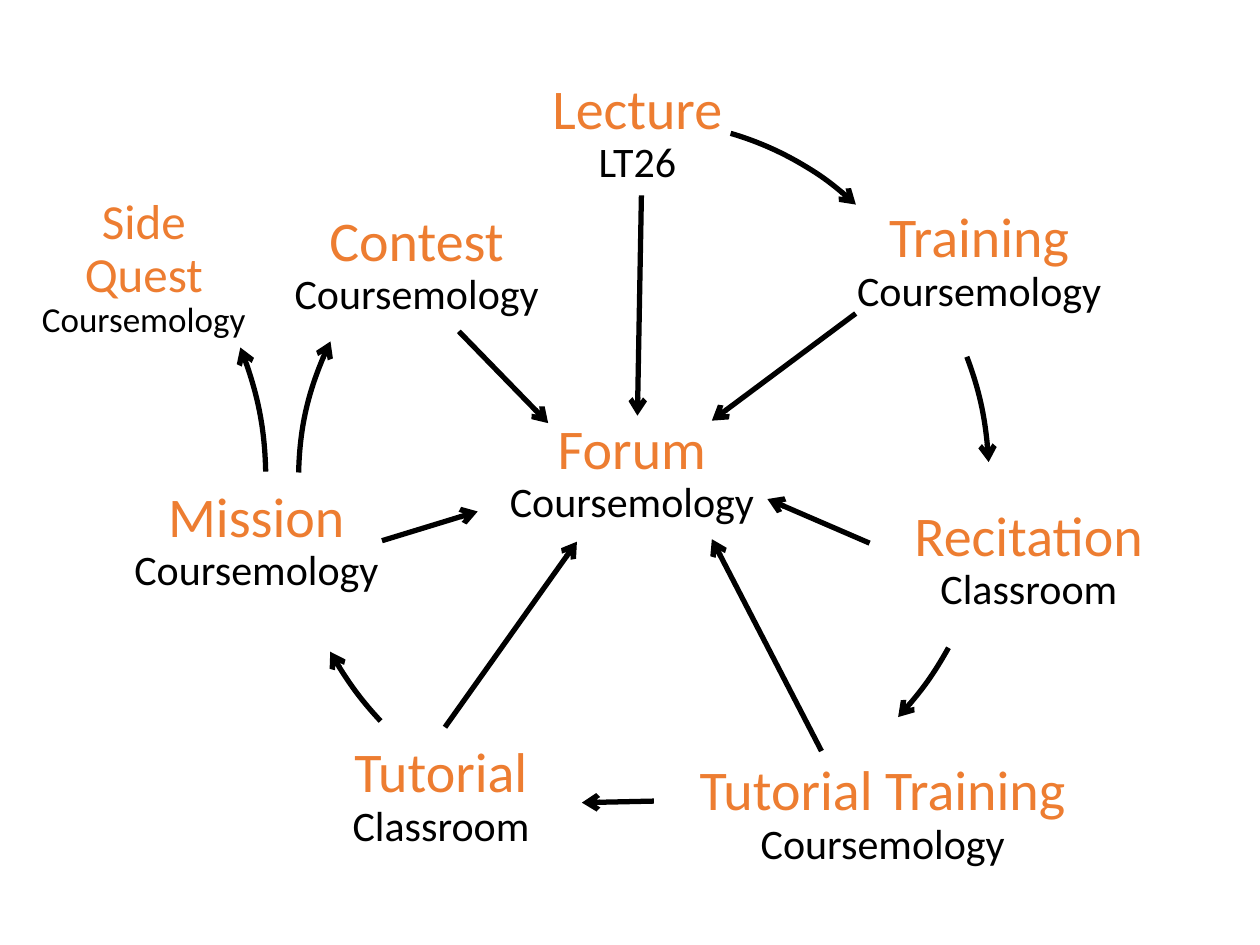
from typing import NamedTuple

from lxml.etree import SubElement
from pptx import Presentation
from pptx.dml.color import RGBColor
from pptx.enum.shapes import MSO_CONNECTOR as Connector, MSO_SHAPE as Shape
from pptx.enum.text import MSO_ANCHOR as Anchor, PP_ALIGN as Align
from pptx.oxml.ns import qn
from pptx.util import Cm, Pt

ORANGE, BLACK, WHITE = "ED7D31", "000000", "FFFFFF"
BOX_HEIGHT = 2.49
RING = 14.17


class Activity(NamedTuple):
    name: str
    venue: str
    left: float
    top: float
    width: float
    name_size: int = 32
    venue_size: int = 24


class Curve(NamedTuple):
    """Clockwise part of an ellipse, from start to end in degrees."""
    left: float
    top: float
    width: float
    height: float
    start: float
    end: float
    mirrored: bool = False


class Arrow(NamedTuple):
    x1: float
    y1: float
    x2: float
    y2: float


ACTIVITIES = [
    Activity("Lecture", "LT26", 10.31, 1.45, 5.08),
    Activity("Training", "Coursemology", 15.88, 4.04, 7.72),
    Activity("Recitation", "Classroom", 17.25, 10.06, 6.98),
    Activity("Tutorial Training", "Coursemology", 12.7, 15.19, 10.19),
    Activity("Tutorial", "Classroom", 6.35, 14.83, 5.08),
    Activity("Mission", "Coursemology", 1.83, 9.68, 6.68),
    Activity("Contest", "Coursemology", 4.78, 4.11, 7.24),
    Activity("Side Quest", "Coursemology", 0.36, 4.17, 5.08, 28, 20),
    Activity("Forum", "Coursemology", 9.07, 8.31, 7.34),
]
CURVES = [
    Curve(6.68, 2.44, 12.6, 12.7, 286, 312.5),             # Lecture to Training
    Curve(5.77, 2.59, RING, RING, 339.5, 357.1),           # Training to Recitation
    Curve(5.84, 2.54, RING, RING, 29, 43),                 # Recitation to Tutorial Training
    Curve(5.77, 2.62, RING, RING, 137, 151),               # Tutorial to Mission
    Curve(6.02, 3.33, 12.6, 12.7, 181.4, 206.3),           # Mission to Contest
    Curve(-8.36, 2.64, 13.72, 14.07, 181.4, 202.8, True),  # Mission to Side Quest
]
ARROWS = [
    Arrow(13.18, 16.15, 11.73, 16.18),  # Tutorial Training to Tutorial
    # the rest lead to the Forum
    Arrow(12.93, 3.94, 12.85, 8.38),
    Arrow(17.25, 6.32, 14.35, 8.48),
    Arrow(17.53, 10.95, 15.47, 10.06),
    Arrow(16.56, 15.14, 14.35, 10.87),
    Arrow(8.97, 14.66, 11.63, 10.92),
    Arrow(7.7, 10.9, 9.63, 10.31),
    Arrow(9.25, 6.68, 11.05, 8.53),
]


def rgb(value: str) -> RGBColor:
    return RGBColor.from_string(value)


def set_line(shape, color: str, width: float) -> None:
    shape.line.color.rgb = rgb(color)
    shape.line.width = Pt(width)


def add_arrowhead(shape) -> None:
    set_line(shape, BLACK, 3)
    SubElement(shape.line._get_or_add_ln(), qn("a:tailEnd"), type="arrow")


def draw_activity(slide, activity: Activity) -> None:
    box = slide.shapes.add_shape(
        Shape.ROUNDED_RECTANGLE, Cm(activity.left), Cm(activity.top),
        Cm(activity.width), Cm(BOX_HEIGHT))
    box.shadow.inherit = False
    box.fill.background()
    set_line(box, WHITE, 1)
    frame = box.text_frame
    frame.word_wrap = True
    frame.vertical_anchor = Anchor.MIDDLE
    for side in ("left", "top", "right", "bottom"):
        setattr(frame, f"margin_{side}", Cm(0.36))

    rows = [(activity.name, activity.name_size, ORANGE),
            (activity.venue, activity.venue_size, BLACK)]
    for index, (text, size, color) in enumerate(rows):
        paragraph = frame.add_paragraph() if index else frame.paragraphs[0]
        paragraph.alignment = Align.CENTER
        paragraph.line_spacing = 0.9
        run = paragraph.add_run()
        run.text = text
        for key, value in {"name": "Calibri", "size": Pt(size)}.items():
            setattr(run.font, key, value)
        run.font.color.rgb = rgb(color)


def draw_curve(slide, curve: Curve) -> None:
    arc = slide.shapes.add_shape(
        Shape.ARC, Cm(curve.left), Cm(curve.top), Cm(curve.width), Cm(curve.height))
    arc.shadow.inherit = False
    arc.fill.background()
    # angles are stored in 60000ths of a degree, adjustments in 100000ths
    for index, angle in enumerate((curve.start, curve.end)):
        arc.adjustments[index] = angle * 0.6
    if curve.mirrored:
        arc._element.spPr.find(qn("a:xfrm")).set("flipH", "1")
    add_arrowhead(arc)


def draw_arrow(slide, arrow: Arrow) -> None:
    line = slide.shapes.add_connector(Connector.STRAIGHT, *map(Cm, arrow))
    add_arrowhead(line)
    SubElement(line._element.spPr, qn("a:effectLst"))


def main() -> None:
    deck = Presentation()
    deck.slide_width, deck.slide_height = Cm(25.4), Cm(19.05)
    slide = deck.slides.add_slide(deck.slide_layouts[6])
    for activity in ACTIVITIES:
        draw_activity(slide, activity)
    for curve in CURVES:
        draw_curve(slide, curve)
    for arrow in ARROWS:
        draw_arrow(slide, arrow)
    deck.save("out.pptx")


if __name__ == "__main__":
    main()
